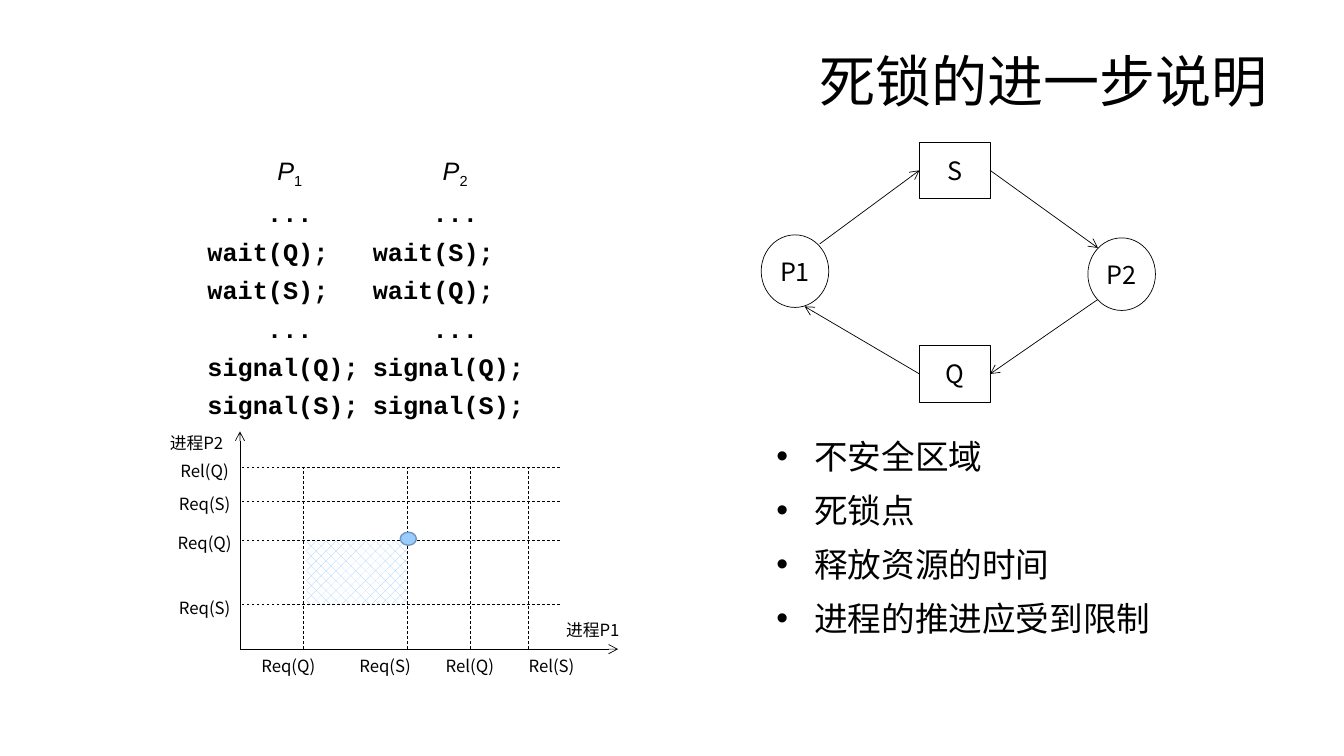
import lxml.etree
import pptx
import pptx.dml.color
import pptx.enum.dml
import pptx.enum.shapes
import pptx.enum.text
import pptx.oxml.ns
import pptx.util

PX = 9144  # EMU per px, 100 px to the inch
ALIGN = pptx.enum.text.PP_ALIGN
ANCHOR = pptx.enum.text.MSO_ANCHOR
SHAPE = pptx.enum.shapes.MSO_SHAPE
LEFT_SIDE, RIGHT_SIDE = 1, 3


def px(*lengths):
    return [pptx.util.Emu(length * PX) for length in lengths]


def color(hex_string):
    return pptx.dml.color.RGBColor.from_string(hex_string)


def add_element(parent, tag, **attributes):
    element = lxml.etree.SubElement(parent, pptx.oxml.ns.qn(tag))
    for name, value in attributes.items():
        element.set(name, value)


class SlideBuilder:
    black = "000000"
    blue = "99CCFF"
    blue_edge = "7197BD"
    white = "FFFFFF"
    sans = "Noto Sans CJK SC"
    title_font = "Arial"
    code_font = "Courier New"
    thin = 0.5

    def __init__(self, slide):
        self.slide = slide

    def run(self, paragraph, text, size, font=None, bold=False, italic=False, baseline=0):
        run = paragraph.add_run()
        run.text = text
        run.font.size = pptx.util.Pt(size)
        run.font.name = font or self.sans
        run.font.bold = bold
        run.font.italic = italic
        run.font.color.rgb = color(self.black)
        properties = run._r.get_or_add_rPr()
        add_element(properties, "a:ea", typeface=self.sans)
        if baseline:
            properties.set("baseline", str(baseline))

    def place(self, shape, box):
        shape.left, shape.top, shape.width, shape.height = px(*box)
        shape.text_frame.auto_size = pptx.enum.text.MSO_AUTO_SIZE.NONE
        shape.text_frame.word_wrap = True

    def title(self, box, text):
        shape = self.slide.shapes.title
        self.place(shape, box)
        shape.text_frame.vertical_anchor = ANCHOR.MIDDLE
        paragraph = shape.text_frame.paragraphs[0]
        paragraph.alignment = ALIGN.RIGHT
        self.run(paragraph, text, 40, self.title_font)

    def bullets(self, box, items):
        """Fill the body placeholder, whose bullets and indents are inherited."""
        shape = self.slide.placeholders[1]
        self.place(shape, box)
        frame = shape.text_frame
        for index, item in enumerate(items):
            paragraph = frame.add_paragraph() if index else frame.paragraphs[0]
            paragraph.line_spacing = 1.17
            if index == 0:
                paragraph.space_before = pptx.util.Pt(0)
            self.run(paragraph, item, 24)

    def code_column(self, box, number, lines):
        frame = self.slide.shapes.add_textbox(*px(*box)).text_frame
        frame.word_wrap = True
        heading = frame.paragraphs[0]
        heading.alignment = ALIGN.CENTER
        heading.line_spacing = 1.27
        self.run(heading, "P", 18, self.title_font, italic=True)
        self.run(heading, number, 18, self.title_font, baseline=-25000)
        for line in lines:
            paragraph = frame.add_paragraph()
            paragraph.alignment = ALIGN.CENTER if line == "..." else ALIGN.LEFT
            paragraph.line_spacing = 1.27
            self.run(paragraph, line, 18, self.code_font, bold=True)

    def centered_text(self, shape, text, size):
        frame = shape.text_frame
        frame.margin_left = frame.margin_right = frame.margin_top = frame.margin_bottom = 0
        frame.word_wrap = True
        frame.vertical_anchor = ANCHOR.MIDDLE
        frame.paragraphs[0].alignment = ALIGN.CENTER
        self.run(frame.paragraphs[0], text, size)

    def label(self, left, top, text):
        shape = self.slide.shapes.add_textbox(*px(left, top, 70, 36))
        self.centered_text(shape, text, 12)

    def shape(self, kind, box, line=None, width=thin):
        shape = self.slide.shapes.add_shape(kind, *px(*box))
        shape.shadow.inherit = False
        shape.fill.background()
        if line:
            shape.line.color.rgb = color(line)
            shape.line.width = pptx.util.Pt(width)
        else:
            shape.line.fill.background()
        return shape

    def node(self, kind, box, text):
        shape = self.shape(kind, box, self.black)
        self.centered_text(shape, text, 18)
        return shape

    def unsafe_region(self, box):
        fill = self.shape(SHAPE.RECTANGLE, box).fill
        fill.patterned()
        fill.pattern = pptx.enum.dml.MSO_PATTERN.PERCENT_30
        fill.fore_color.rgb = color(self.blue)
        fill.back_color.rgb = color(self.white)

    def deadlock_point(self, box):
        fill = self.shape(SHAPE.OVAL, box, self.blue_edge, 1).fill
        fill.solid()
        fill.fore_color.rgb = color(self.blue)

    def line(self, start, end, dashed=False, arrow=False):
        connector = self.slide.shapes.add_connector(
            pptx.enum.shapes.MSO_CONNECTOR.STRAIGHT, *px(*start, *end))
        connector.line.color.rgb = color(self.black)
        connector.line.width = pptx.util.Pt(self.thin)
        if dashed:
            connector.line.dash_style = pptx.enum.dml.MSO_LINE.DASH
        if arrow:
            add_element(connector.line._get_or_add_ln(), "a:tailEnd", type="arrow")
        add_element(connector._element.spPr, "a:effectLst")
        return connector


def draw_progress_chart(builder):
    origin_x, origin_y = 238, 644
    builder.unsafe_region((304, 537, 100, 63))
    builder.line((origin_x, origin_y), (613, origin_y), arrow=True)
    builder.line((origin_x, origin_y), (origin_x, 428), arrow=True)
    for x, label_left, text in [(301, 251, "Req(Q)"), (404, 347, "Req(S)"),
                                (467, 431, "Rel(Q)"), (524, 512, "Rel(S)")]:
        builder.line((x, origin_y), (x, 463), dashed=True)
        builder.label(label_left, 643, text)
    for y, text in [(464, "Rel(Q)"), (497, "Req(S)"), (536, "Req(Q)"), (600, "Req(S)")]:
        builder.line((555, y), (origin_x, y), dashed=True)
        builder.label(168, y - 15, text)
    builder.deadlock_point((397, 528, 16, 13))
    builder.label(553, 607, "进程P1")
    builder.label(160, 421, "进程P2")


def draw_resource_graph(builder):
    builder.node(SHAPE.OVAL, (755, 233, 67, 72), "P1")
    builder.node(SHAPE.OVAL, (1079, 236, 67, 72), "P2")
    resource_s = builder.node(SHAPE.RECTANGLE, (912, 141, 70, 56), "S")
    resource_q = builder.node(SHAPE.RECTANGLE, (912, 343, 70, 56), "Q")
    s_left, s_right = (912, 169), (982, 169)
    q_left, q_right = (912, 371), (982, 371)
    builder.line((813, 242), s_left, arrow=True).end_connect(resource_s, LEFT_SIDE)
    builder.line(s_right, (1089, 246), arrow=True).begin_connect(resource_s, RIGHT_SIDE)
    builder.line((1089, 297), q_right, arrow=True).end_connect(resource_q, RIGHT_SIDE)
    builder.line(q_left, (798, 304), arrow=True).begin_connect(resource_q, LEFT_SIDE)


def main():
    presentation = pptx.Presentation()
    presentation.slide_width, presentation.slide_height = px(1333, 750)
    slide = presentation.slides.add_slide(presentation.slide_layouts[1])
    builder = SlideBuilder(slide)
    builder.title((67, 30, 1200, 99), "死锁的进一步说明")
    builder.bullets((760, 421, 468, 259),
                    ["不安全区域", "死锁点", "释放资源的时间", "进程的推进应受到限制"])
    signals = ["...", "signal(Q);", "signal(S);"]
    builder.code_column((196, 140, 183, 264), "1", ["...", "wait(Q);", "wait(S);"] + signals)
    builder.code_column((360, 140, 183, 264), "2", ["...", "wait(S);", "wait(Q);"] + signals)
    draw_progress_chart(builder)
    draw_resource_graph(builder)
    presentation.save("out.pptx")


if __name__ == "__main__":
    main()
